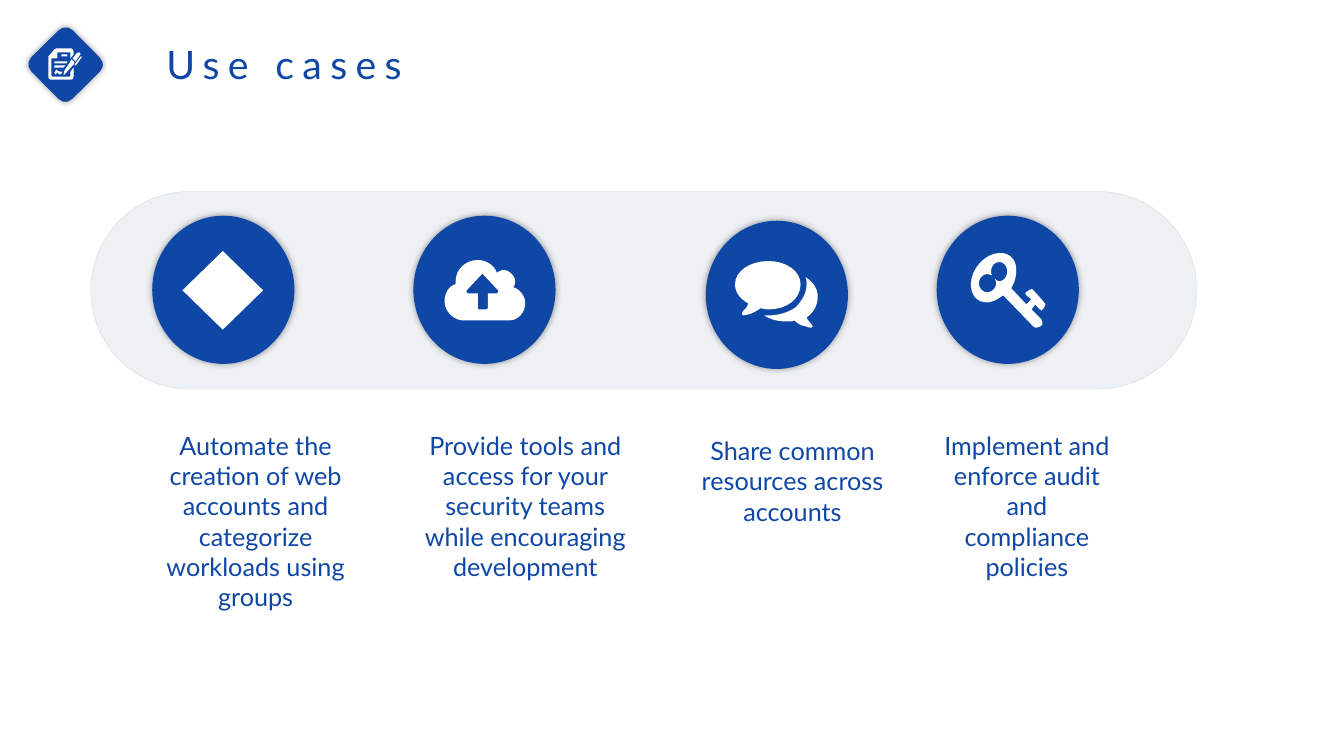
import dataclasses

import lxml.etree
import pptx
import pptx.dml.color
import pptx.enum.shapes
import pptx.enum.text
import pptx.oxml.ns
import pptx.shapes.autoshape
import pptx.slide
import pptx.text.text
import pptx.util

COLORS = {"blue": "0F47A6", "white": "FFFFFF", "band": "D6DCE5", "edge": "D9D9D9", "shadow": "000000"}
FONT = "Lato"
SHAPES = pptx.enum.shapes.MSO_SHAPE

# Grid: ten columns or rows to the inch; icon outlines use tenths of a cell
CELL = pptx.util.Inches(0.1)
ICON_UNIT = CELL / 10
CURVE_STEPS = 8

# An outline starts at its first pair; each later pair is a line, six numbers a curve
Outline = list[tuple[int, ...]]


@dataclasses.dataclass(frozen=True)
class Box:
    column: float
    row: float
    columns: float
    rows: float

    def emu(self) -> tuple[int, ...]:
        return tuple(round(length * CELL) for length in dataclasses.astuple(self))


@dataclasses.dataclass(frozen=True)
class UseCase:
    circle_column: float
    circle_row: float
    text_column: float
    text_columns: float
    text: str
    icon: list[Outline]


CIRCLE_COLUMNS, CIRCLE_ROWS = 14.1, 14.7
TEXT_DROP, TEXT_ROWS = 20.8, 19

# Icon outlines, measured from the corner of the badge behind each
DOCUMENT: list[Outline] = [
    [(20, 34), (21, 35), (23, 36), (26, 36), (25, 38), (23, 39), (21, 37), (19, 39), (18, 37)],
    [(18, 30), (29, 30), (27, 32), (18, 32)],
    [(18, 26), (31, 26), (30, 28), (18, 28)],
    [(25, 19), (31, 19), (31, 21), (25, 21)],
    [(35, 24), (38, 27), (37, 29), (28, 39), (27, 39), (28, 35)],
    [(45, 21), (45, 22), (40, 29), (39, 30), (38, 30), (38, 29), (44, 21)],
    [(42, 17), (43, 17), (44, 19), (43, 20), (39, 26), (36, 23), (40, 18)],
    [(20, 13), (34, 13), (36, 13, 37, 15, 37, 17), (37, 19), (34, 23), (34, 17), (21, 17),
     (21, 21), (21, 22, 21, 23, 19, 23), (15, 23), (15, 40), (16, 41), (33, 41), (34, 40),
     (34, 36), (37, 32), (37, 41), (37, 43, 36, 44, 34, 44), (15, 44),
     (13, 44, 12, 43, 12, 41), (12, 21), (18, 14)],
]
DIAMOND: list[Outline] = [[(70, 35), (110, 74), (70, 113), (30, 74)]]
CLOUD: list[Outline] = [
    [(95, 104), (50, 104), (40, 104, 31, 95, 31, 85), (31, 77, 35, 70, 42, 68), (42, 65),
     (42, 53, 52, 44, 64, 44), (71, 44, 80, 48, 83, 57), (84, 55, 88, 54, 90, 54),
     (95, 54, 101, 60, 101, 65), (101, 68, 100, 70, 99, 71), (106, 73, 111, 80, 111, 87),
     (111, 96, 104, 104, 95, 104)],
    [(84, 74), (69, 58), (68, 58), (53, 74), (53, 76), (54, 77), (64, 77), (64, 92),
     (65, 93), (72, 93), (74, 92), (74, 77), (83, 77), (84, 76)],
]
SPEECH: list[Outline] = [
    [(62, 88), (59, 88, 57, 87, 54, 87), (50, 90, 46, 92, 42, 93), (37, 94), (36, 93),
     (36, 91), (38, 88, 41, 87, 42, 82), (35, 78, 29, 72, 29, 63), (29, 50, 44, 40, 62, 40),
     (80, 40, 94, 50, 94, 63), (94, 78, 80, 88, 62, 88)],
    [(100, 96), (101, 99, 103, 100, 105, 103), (106, 105), (105, 106),
     (103, 106, 101, 106, 100, 105), (95, 104, 92, 103, 88, 99), (85, 100, 83, 100, 80, 100),
     (72, 100, 64, 98, 58, 94), (62, 94), (72, 94, 82, 91, 89, 86), (95, 80, 100, 72, 100, 63),
     (100, 61, 100, 59, 99, 56), (107, 61, 111, 68, 111, 75), (111, 84, 107, 91, 100, 96)],
]
KEY: list[Outline] = [
    [(104, 94), (103, 94, 98, 89, 98, 88), (94, 93), (104, 103), (104, 104, 105, 105, 105, 107),
     (105, 109, 101, 111, 99, 111), (98, 111, 97, 111, 96, 110), (66, 79),
     (62, 82, 56, 86, 50, 86), (40, 86, 34, 79, 34, 68), (34, 53, 48, 37, 63, 37),
     (73, 37, 79, 44, 79, 54), (79, 61, 77, 67, 74, 72), (89, 88), (94, 83),
     (93, 82, 88, 79, 88, 77), (88, 76, 93, 73, 94, 73), (95, 73),
     (96, 74, 108, 87, 108, 88), (108, 89, 105, 94, 104, 94)],
    [(62, 46), (57, 46, 54, 51, 54, 55), (54, 56, 54, 58, 55, 59), (53, 59, 52, 58, 50, 58),
     (46, 58, 42, 62, 42, 67), (42, 72, 46, 76, 50, 76), (55, 76, 59, 72, 59, 67),
     (59, 66, 59, 65, 58, 63), (59, 63, 60, 65, 62, 65), (67, 65, 70, 60, 70, 55),
     (70, 51, 67, 46, 62, 46)],
]

USE_CASES = [
    UseCase(15.1, 21.4, 15, 20.7,
            "Automate the creation of web accounts and categorize workloads using groups", DIAMOND),
    UseCase(41, 21.4, 40.8, 22.6,
            "Provide tools and access for your security teams while encouraging development", CLOUD),
    UseCase(70, 21.9, 68.4, 20.4, "Share common resources across accounts", SPEECH),
    UseCase(92.9, 21.4, 92.4, 18.9, "Implement and enforce audit and compliance policies", KEY),
]


def rgb(name: str) -> pptx.dml.color.RGBColor:
    return pptx.dml.color.RGBColor.from_string(COLORS[name])


def flatten(outline: Outline) -> list[tuple[float, float]]:
    """Turn lines and cubic curves into a list of points."""
    points = [outline[0]]
    for segment in outline[1:]:
        if len(segment) == 2:
            points.append(segment)
            continue
        controls = [points[-1], segment[:2], segment[2:4], segment[4:]]
        for step in range(1, CURVE_STEPS + 1):
            t = step / CURVE_STEPS
            weights = ((1 - t) ** 3, 3 * t * (1 - t) ** 2, 3 * t * t * (1 - t), t ** 3)
            points.append(tuple(sum(w * c[axis] for w, c in zip(weights, controls)) for axis in (0, 1)))
    return points


def add_filled(slide: pptx.slide.Slide, kind: SHAPES, box: Box, color: str) -> pptx.shapes.autoshape.Shape:
    shape = slide.shapes.add_shape(kind, *box.emu())
    shape.shadow.inherit = False
    shape.fill.solid()
    shape.fill.fore_color.rgb = rgb(color)
    shape.line.fill.background()
    return shape


def add_badge(slide: pptx.slide.Slide, kind: SHAPES, box: Box) -> pptx.shapes.autoshape.Shape:
    """Add a blue shape with a soft shadow all round."""
    badge = add_filled(slide, kind, box, "blue")
    effects = badge.element.spPr.find(pptx.oxml.ns.qn("a:effectLst"))
    shadow = lxml.etree.SubElement(effects, pptx.oxml.ns.qn("a:outerShdw"),
                                   blurRad=str(pptx.util.Pt(5)), dist="0", dir="0", algn="ctr", rotWithShape="0")
    color = lxml.etree.SubElement(shadow, pptx.oxml.ns.qn("a:srgbClr"), val=COLORS["shadow"])
    lxml.etree.SubElement(color, pptx.oxml.ns.qn("a:alpha"), val="40000")
    return badge


def add_icon(slide: pptx.slide.Slide, outlines: list[Outline], box: Box) -> None:
    left, top = box.emu()[:2]
    contours = [[(round(left + x * ICON_UNIT), round(top + y * ICON_UNIT)) for x, y in flatten(outline)]
                for outline in outlines]
    builder = slide.shapes.build_freeform(*contours[0][0])
    for contour in contours:
        builder.move_to(*contour[0])
        builder.add_line_segments(contour[1:], close=True)
    icon = builder.convert_to_shape()
    icon.shadow.inherit = False
    icon.fill.solid()
    icon.fill.fore_color.rgb = rgb("white")
    icon.line.fill.background()


def write(frame: pptx.text.text.TextFrame, text: str, size: float,
          alignment: pptx.enum.text.PP_ALIGN) -> pptx.text.text._Run:
    frame.vertical_anchor = pptx.enum.text.MSO_ANCHOR.TOP
    frame.auto_size = pptx.enum.text.MSO_AUTO_SIZE.NONE
    paragraph = frame.paragraphs[0]
    paragraph.alignment = alignment
    run = paragraph.add_run()
    run.text = text
    run.font.name = FONT
    run.font.size = pptx.util.Pt(size)
    run.font.color.rgb = rgb("blue")
    return run


def main() -> None:
    presentation = pptx.Presentation()
    presentation.slide_width = pptx.util.Inches(13.33)
    presentation.slide_height = pptx.util.Inches(7.5)
    slide = presentation.slides.add_slide(presentation.slide_layouts[5])

    # Title with its document badge
    title = slide.shapes.title
    title.left, title.top, title.width, title.height = Box(15.5, 3.5, 28.1, 5.7).emu()
    title.text_frame.word_wrap = False
    run = write(title.text_frame, "Use cases", 28, pptx.enum.text.PP_ALIGN.LEFT)
    run.font._element.set("spc", "600")
    title_box = Box(3.6, 3.5, 5.8, 5.8)
    add_badge(slide, SHAPES.ROUNDED_RECTANGLE, title_box).rotation = 315.4
    add_icon(slide, DOCUMENT, title_box)

    # Pale band behind the circles
    band = add_filled(slide, SHAPES.ROUNDED_RECTANGLE, Box(9, 19, 109.7, 19.6), "band")
    band.adjustments[0] = 0.5
    band_color = band.element.spPr.find(".//" + pptx.oxml.ns.qn("a:srgbClr"))
    lxml.etree.SubElement(band_color, pptx.oxml.ns.qn("a:alpha"), val="40000")
    band.line.color.rgb = rgb("edge")
    band.line.width = pptx.util.Pt(0.25)

    # Use cases: circle, icon and description
    for case in USE_CASES:
        circle_box = Box(case.circle_column, case.circle_row, CIRCLE_COLUMNS, CIRCLE_ROWS)
        add_badge(slide, SHAPES.OVAL, circle_box)
        add_icon(slide, case.icon, circle_box)
        text_box = Box(case.text_column, case.circle_row + TEXT_DROP, case.text_columns, TEXT_ROWS)
        description = slide.shapes.add_textbox(*text_box.emu())
        description.text_frame.word_wrap = True
        write(description.text_frame, case.text, 18, pptx.enum.text.PP_ALIGN.CENTER)

    presentation.save("out.pptx")


if __name__ == "__main__":
    main()
